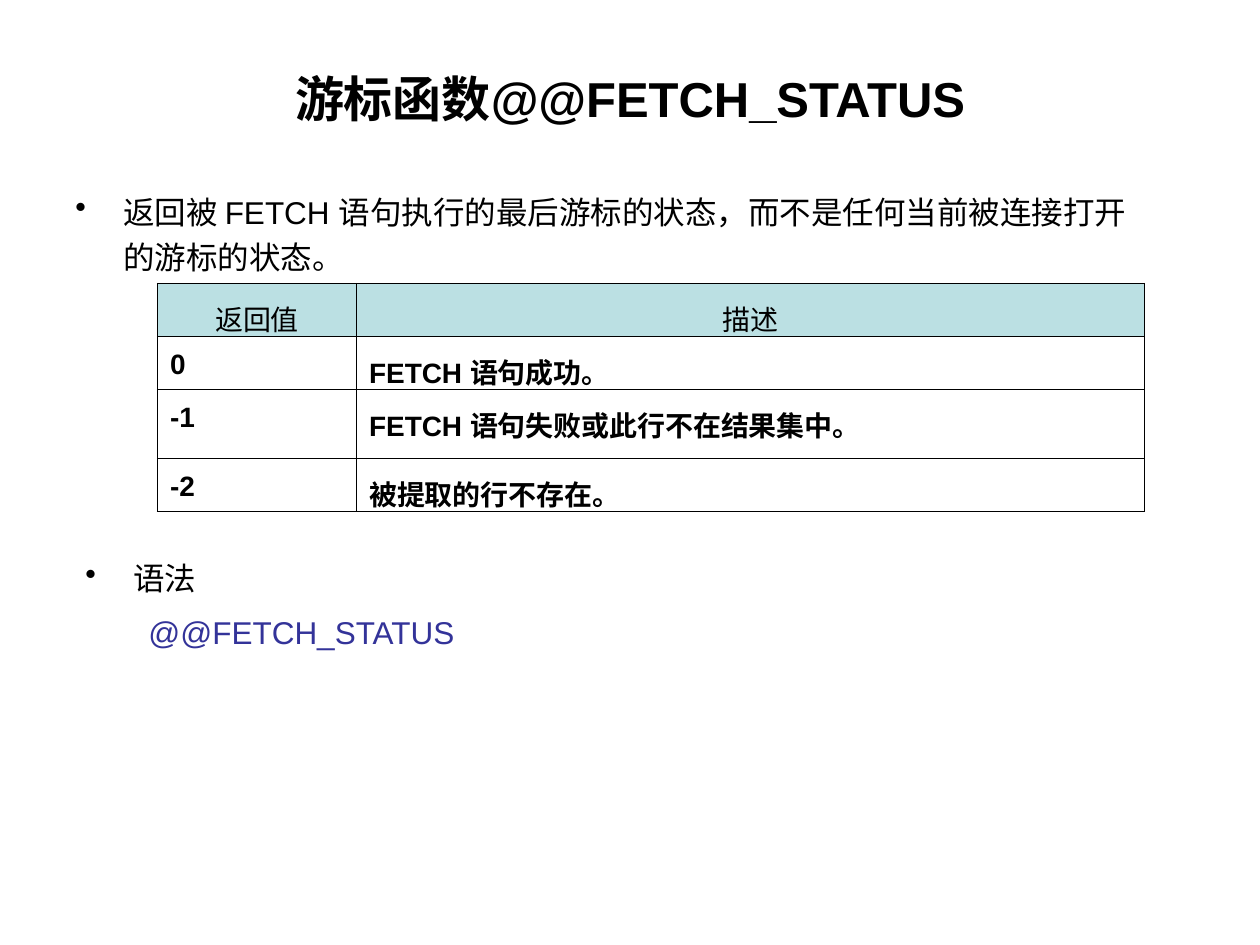
from lxml import etree
from pptx import Presentation
from pptx.dml.color import RGBColor
from pptx.enum.text import MSO_ANCHOR, PP_ALIGN
from pptx.oxml.ns import qn
from pptx.util import Inches, Pt

CENTER, LEFT = PP_ALIGN.CENTER, PP_ALIGN.LEFT
MIDDLE, TOP = MSO_ANCHOR.MIDDLE, MSO_ANCHOR.TOP
BLACK, WHITE, HEADER_FILL, CODE_BLUE = "000000", "FFFFFF", "BBE0E3", "333399"
TITLE_ONLY = 5


def color(hex_value):
    return RGBColor.from_string(hex_value)


class SlideBuilder:
    """Holds the style and the current slide."""

    font = "Arial"
    border_width = Pt(0.75)

    def __init__(self, prs):
        self.slide = prs.slides.add_slide(prs.slide_layouts[TITLE_ONLY])
        self.slide.background.fill.solid()
        self.slide.background.fill.fore_color.rgb = color(WHITE)

    def style_runs(self, paragraph, size, hex_value=BLACK, bold=False):
        for run in paragraph.runs:
            run.font.name = self.font
            run.font.size = Pt(size)
            run.font.bold = bold
            run.font.color.rgb = color(hex_value)

    def layout_paragraph(self, paragraph, margin, indent, line=None,
                         before=0, after=0, bullet=None):
        """Spacing before and after is a percentage of the line."""
        props = paragraph._p.get_or_add_pPr()
        props.set("marL", str(Inches(margin)))
        props.set("indent", str(Inches(indent)))
        if line:
            paragraph.line_spacing = line
        for tag, percent in (("a:spcBef", before), ("a:spcAft", after)):
            spacing = etree.SubElement(props, qn(tag))
            etree.SubElement(spacing, qn("a:spcPct"), val=str(percent * 1000))
        if bullet:
            etree.SubElement(props, qn("a:buChar"), char=bullet)

    def title(self, text, left, top, width, height):
        holder = self.slide.shapes.title
        holder.left, holder.top = Inches(left), Inches(top)
        holder.width, holder.height = Inches(width), Inches(height)
        holder.text_frame.text = text
        holder.text_frame.vertical_anchor = MIDDLE
        heading = holder.text_frame.paragraphs[0]
        heading.alignment = CENTER
        self.style_runs(heading, 28, bold=True)

    def text_box(self, left, top, width, height):
        box = self.slide.shapes.add_textbox(
            Inches(left), Inches(top), Inches(width), Inches(height))
        box.text_frame.word_wrap = True
        return box.text_frame

    def bullet(self, paragraph, text):
        paragraph.text = text
        self.layout_paragraph(paragraph, 0.38, -0.38, line=1.2, after=30,
                              bullet="•")
        self.style_runs(paragraph, 18)

    def code_line(self, paragraph, text):
        paragraph.text = text
        paragraph.level = 1
        self.layout_paragraph(paragraph, 0.81, -0.31, before=20)
        self.style_runs(paragraph, 18, CODE_BLUE)

    def cell_borders(self, cell):
        props = cell._tc.get_or_add_tcPr()
        for position, side in enumerate(("a:lnL", "a:lnR", "a:lnT", "a:lnB")):
            line = etree.Element(qn(side), w=str(self.border_width))
            fill = etree.SubElement(line, qn("a:solidFill"))
            etree.SubElement(fill, qn("a:srgbClr"), val=BLACK)
            props.insert(position, line)

    def table(self, rows, left, top, col_widths, row_heights):
        table = self.slide.shapes.add_table(
            len(rows), len(col_widths), Inches(left), Inches(top),
            Inches(sum(col_widths)), Inches(sum(row_heights))).table
        table.first_row = table.horz_banding = False
        for column, width in zip(table.columns, col_widths):
            column.width = Inches(width)
        for r, (texts, height) in enumerate(zip(rows, row_heights)):
            table.rows[r].height = Inches(height)
            for c, text in enumerate(texts):
                self.cell(table.cell(r, c), text, is_header=r == 0)

    def cell(self, cell, text, is_header):
        cell.text_frame.text = text
        cell.vertical_anchor = TOP
        if is_header:
            cell.fill.solid()
            cell.fill.fore_color.rgb = color(HEADER_FILL)
        else:
            cell.fill.background()
        self.cell_borders(cell)
        entry = cell.text_frame.paragraphs[0]
        entry.alignment = CENTER if is_header else LEFT
        self.layout_paragraph(entry, 0.38, -0.38, line=1.2, after=30)
        self.style_runs(entry, 16, bold=not is_header)


def main():
    prs = Presentation()
    prs.slide_width, prs.slide_height = Inches(10), Inches(7.5)
    builder = SlideBuilder(prs)

    # Title
    builder.title("游标函数@@FETCH_STATUS", 0.5, 0.3, 9, 0.95)

    # What the function returns
    purpose = builder.text_box(0.5, 1.42, 8.58, 0.83)
    builder.bullet(
        purpose.paragraphs[0],
        "返回被 FETCH 语句执行的最后游标的状态，而不是任何当前被连接打开的游标的状态。")

    # Return values
    return_values = [
        ("返回值", "描述"),
        ("0", "FETCH 语句成功。"),
        ("-1", "FETCH 语句失败或此行不在结果集中。"),
        ("-2", "被提取的行不存在。"),
    ]
    builder.table(return_values, 1.25, 2.25, (1.58, 6.25),
                  (0.42, 0.42, 0.55, 0.42))

    # Syntax
    syntax = builder.text_box(0.58, 4.33, 8.58, 1.83)
    builder.bullet(syntax.paragraphs[0], "语法")
    builder.code_line(syntax.add_paragraph(), "@@FETCH_STATUS")

    prs.save("out.pptx")


if __name__ == "__main__":
    main()
